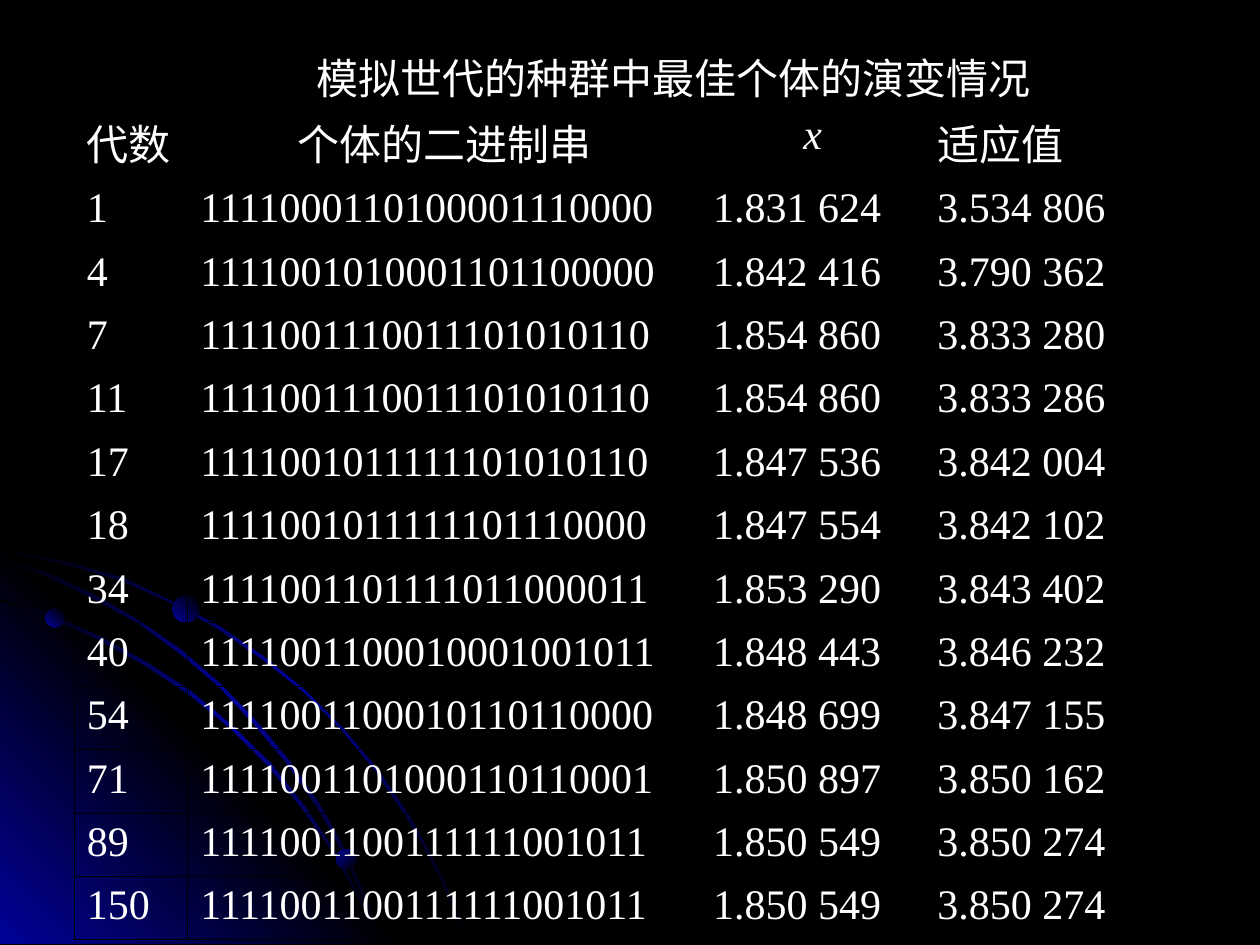
import dataclasses

import pptx
import pptx.dml.color
import pptx.enum.shapes
import pptx.enum.text
import pptx.oxml
import pptx.oxml.ns
import pptx.util

Inches = pptx.util.Inches
ALIGN = pptx.enum.text.PP_ALIGN


@dataclasses.dataclass(frozen=True)
class Theme:
    background: str = "000000"
    glow: str = "010199"
    text: str = "FFFFFF"
    border: str = "000000"
    size: int = 24
    title_font: str = "Arial"
    chinese_font: str = "Noto Sans CJK SC"
    number_font: str = "Times New Roman"


theme = Theme()


def write_text(frame, text, font, align=ALIGN.LEFT, italic=False, hanging=0):
    paragraph = frame.paragraphs[0]
    paragraph.alignment = align
    properties = paragraph._p.get_or_add_pPr()
    properties.set("marL", str(Inches(hanging)))
    properties.set("indent", str(-Inches(hanging)))
    run = paragraph.add_run()
    run.text = text
    run.font.name = font
    run.font.size = pptx.util.Pt(theme.size)
    run.font.bold = False
    run.font.italic = italic
    run.font.color.rgb = pptx.dml.color.RGBColor.from_string(theme.text)
    east_asian = pptx.oxml.parse_xml(
        f'<a:ea {pptx.oxml.ns.nsdecls("a")} typeface="{theme.chinese_font}"/>')
    run.font._element.find(pptx.oxml.ns.qn("a:latin")).addnext(east_asian)


def paint_gradient(shape, colors, angle):
    """Spread the colours evenly along a clockwise angle, without outline or shadow."""
    shape.shadow.inherit = False
    shape.line.fill.background()
    shape.fill.background()
    stops = "".join(
        f'<a:gs pos="{100000 * i // (len(colors) - 1)}"><a:srgbClr val="{color}"/></a:gs>'
        for i, color in enumerate(colors))
    gradient = pptx.oxml.parse_xml(
        f'<a:gradFill {pptx.oxml.ns.nsdecls("a")} rotWithShape="1"><a:gsLst>{stops}</a:gsLst>'
        f'<a:lin ang="{angle * 60000}" scaled="1"/></a:gradFill>')
    properties = shape._element.spPr
    properties.replace(properties.find(pptx.oxml.ns.qn("a:noFill")), gradient)


presentation = pptx.Presentation()
presentation.slide_width = Inches(10)
presentation.slide_height = Inches(7.5)
slide = presentation.slides.add_slide(presentation.slide_layouts[5])
slide.background.fill.solid()
slide.background.fill.fore_color.rgb = pptx.dml.color.RGBColor.from_string(theme.background)

# Corner glow and the three orbit ribbons, each a closed outline in inches
glow_corner = [(3.22, 7.49), (0, 7.49), (0, 4.27)]
outer_orbit = [
    (0.57, 4.47), (0.28, 4.41), (0, 4.35), (0, 4.38), (0.28, 4.43), (0.56, 4.49),
    (0.97, 4.61), (1.35, 4.78), (1.73, 4.99), (2.08, 5.23), (2.41, 5.49), (2.71, 5.79),
    (2.98, 6.12), (3.23, 6.49), (3.37, 6.73), (3.5, 6.98), (3.6, 7.23), (3.7, 7.49),
    (3.72, 7.49), (3.62, 7.23), (3.52, 6.98), (3.39, 6.73), (3.25, 6.48), (3, 6.11),
    (2.72, 5.78), (2.42, 5.48), (2.09, 5.21), (1.74, 4.97), (1.36, 4.77), (0.98, 4.59)]
inner_orbit = [
    (2.85, 7.14), (2.94, 7.32), (3.01, 7.49), (3.03, 7.49), (2.96, 7.3), (2.86, 7.12),
    (2.66, 6.76), (2.42, 6.4), (2.15, 6.06), (1.84, 5.76), (1.52, 5.49), (1.17, 5.26),
    (0.79, 5.05), (0.41, 4.88), (0, 4.75), (0, 4.77), (0.39, 4.9), (0.77, 5.07),
    (1.15, 5.28), (1.5, 5.51), (1.83, 5.78), (2.13, 6.08), (2.4, 6.42), (2.65, 6.77)]
middle_orbit = [
    (0, 4.42), (0, 4.44), (0.36, 4.57), (0.74, 4.75), (1.09, 4.94), (1.42, 5.18),
    (1.73, 5.44), (2.02, 5.75), (2.27, 6.05), (2.52, 6.41), (2.67, 6.67), (2.8, 6.94),
    (2.92, 7.22), (3.01, 7.49), (3.03, 7.49), (2.94, 7.2), (2.82, 6.93), (2.69, 6.65),
    (2.54, 6.39), (2.29, 6.03), (2.04, 5.73), (1.75, 5.43), (1.44, 5.16), (1.11, 4.93),
    (0.76, 4.73), (0.39, 4.55)]
ribbon_colors = [theme.background, theme.glow, theme.background]
glow_colors = [theme.glow, theme.background, theme.glow]
for outline, colors, angle in [
    (outer_orbit, ribbon_colors, 225),
    (glow_corner, glow_colors, 135),
    (inner_orbit, ribbon_colors, 225),
    (middle_orbit, ribbon_colors, 225),
]:
    points = [(Inches(x), Inches(y)) for x, y in outline]
    builder = slide.shapes.build_freeform(*points[0])
    builder.add_line_segments(points[1:], close=True)
    paint_gradient(builder.convert_to_shape(), colors, angle)

for left, top, diameter, angle in [
    (0.36, 4.83, 0.15, 135), (2.67, 6.74, 0.16, 225), (1.37, 4.73, 0.21, 135),
]:
    planet = slide.shapes.add_shape(
        pptx.enum.shapes.MSO_SHAPE.OVAL,
        Inches(left), Inches(top), Inches(diameter), Inches(diameter))
    paint_gradient(planet, [theme.background, theme.glow], angle)

title = slide.shapes.title
title.left, title.top = Inches(2.41), Inches(0.37)
title.width, title.height = Inches(5.94), Inches(0.5)
title.text_frame.word_wrap = False
title.text_frame.auto_size = pptx.enum.text.MSO_AUTO_SIZE.SHAPE_TO_FIT_TEXT
title.text_frame.vertical_anchor = pptx.enum.text.MSO_ANCHOR.TOP
write_text(title.text_frame, "模拟世代的种群中最佳个体的演变情况", theme.title_font)

# Best individual per generation
rows = [
    ("代数", "个体的二进制串", "x", "适应值"),
    ("1", "1111000110100001110000", "1.831 624", "3.534 806"),
    ("4", "1111001010001101100000", "1.842 416", "3.790 362"),
    ("7", "1111001110011101010110", "1.854 860", "3.833 280"),
    ("11", "1111001110011101010110", "1.854 860", "3.833 286"),
    ("17", "1111001011111101010110", "1.847 536", "3.842 004"),
    ("18", "1111001011111101110000", "1.847 554", "3.842 102"),
    ("34", "1111001101111011000011", "1.853 290", "3.843 402"),
    ("40", "1111001100010001001011", "1.848 443", "3.846 232"),
    ("54", "1111001100010110110000", "1.848 699", "3.847 155"),
    ("71", "1111001101000110110001", "1.850 897", "3.850 162"),
    ("89", "1111001100111111001011", "1.850 549", "3.850 274"),
    ("150", "1111001100111111001011", "1.850 549", "3.850 274"),
]
last_row, last_column = len(rows) - 1, len(rows[0]) - 1
column_widths = [0.9, 4.07, 1.78, 1.99]
header_height, body_height = 0.58, 6.04
row_heights = [header_height] + [body_height / last_row] * last_row
table = slide.shapes.add_table(
    len(rows), len(column_widths), Inches(0.59), Inches(0.84),
    Inches(sum(column_widths)), Inches(sum(row_heights))).table
table.first_row = table.horz_banding = False
for column, width in zip(table.columns, column_widths):
    column.width = Inches(width)
for row, height in zip(table.rows, row_heights):
    row.height = Inches(height)

for r, values in enumerate(rows):
    for c, value in enumerate(values):
        cell = table.cell(r, c)
        cell.fill.background()
        header = r == 0
        write_text(
            cell.text_frame, value,
            theme.chinese_font if header and value != "x" else theme.number_font,
            align=ALIGN.CENTER if header and c in (1, 2) else ALIGN.LEFT,
            italic=value == "x", hanging=0.38)
        borders = {
            "lnL": 0.96 if c == 0 else 0.45,
            "lnR": 0.96 if c == last_column else 0.45,
            "lnT": 0.45 if r <= 1 else 0.34,
            "lnB": 0.45 if r in (0, last_row) else 0.34,
        }
        for position, (side, points) in enumerate(borders.items()):
            cell._tc.get_or_add_tcPr().insert(position, pptx.oxml.parse_xml(
                f'<a:{side} {pptx.oxml.ns.nsdecls("a")} w="{pptx.util.Pt(points)}">'
                f'<a:solidFill><a:srgbClr val="{theme.border}"/></a:solidFill></a:{side}>'))

presentation.save("out.pptx")
